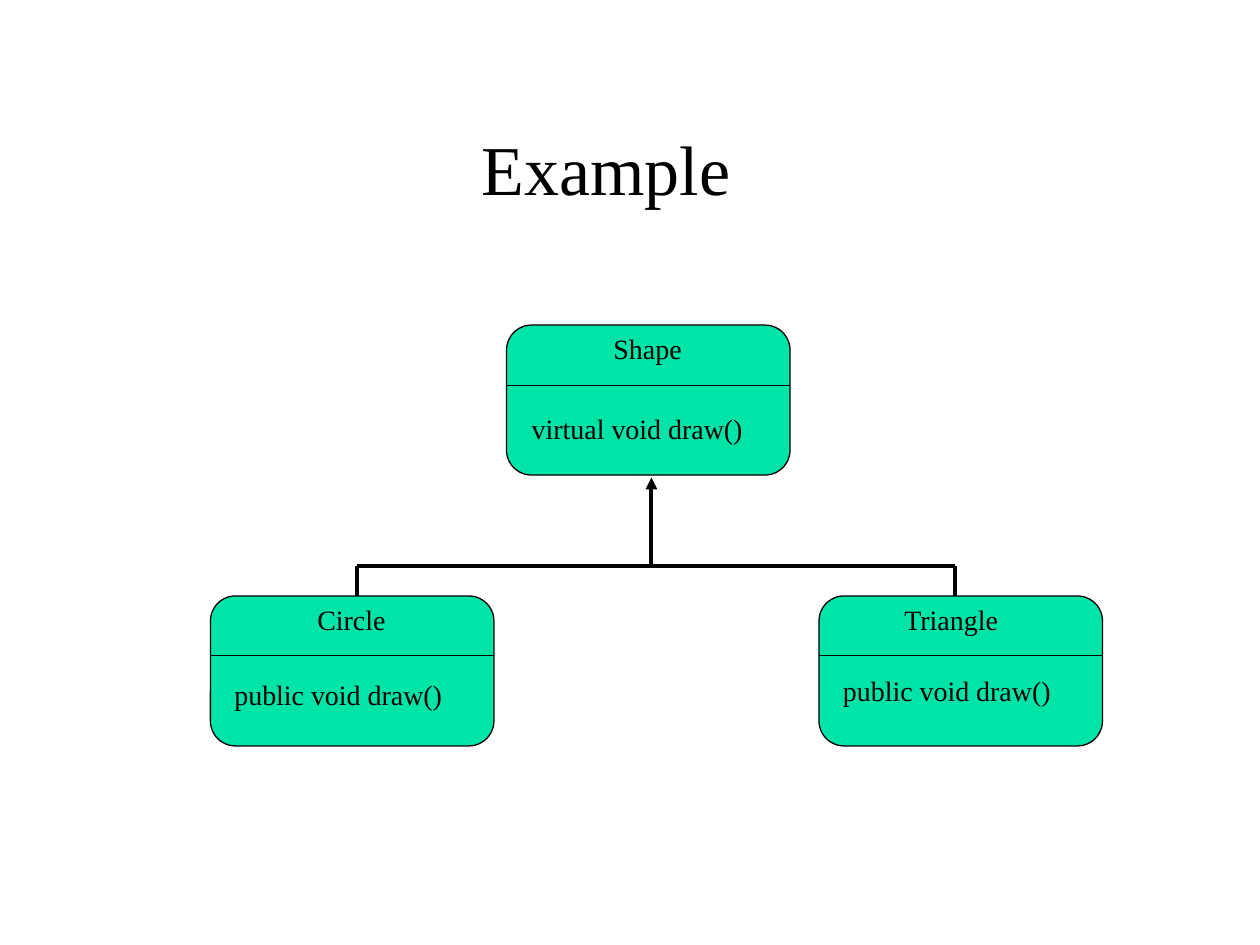
from dataclasses import dataclass

from lxml import etree
from pptx import Presentation
from pptx.dml.color import RGBColor
from pptx.enum.shapes import MSO_CONNECTOR, MSO_SHAPE
from pptx.enum.text import MSO_ANCHOR, MSO_AUTO_SIZE, PP_ALIGN
from pptx.oxml.ns import qn
from pptx.util import Inches, Pt

STRAIGHT = MSO_CONNECTOR.STRAIGHT
CLASS_BOX = MSO_SHAPE.FLOWCHART_ALTERNATE_PROCESS
MIDDLE = MSO_ANCHOR.MIDDLE
CENTER, LEFT = PP_ALIGN.CENTER, PP_ALIGN.LEFT
GROW = MSO_AUTO_SIZE.SHAPE_TO_FIT_TEXT


@dataclass(frozen=True)
class Theme:
    font: str = "Times New Roman"
    ink: RGBColor = RGBColor(0x00, 0x00, 0x00)
    fill: RGBColor = RGBColor(0x00, 0xE4, 0xA8)
    title_size: Pt = Pt(40)
    label_size: Pt = Pt(16)
    thin: Pt = Pt(0.75)
    thick: Pt = Pt(2.25)


theme = Theme()
deck = Presentation()
deck.slide_width, deck.slide_height = Inches(10), Inches(7.5)
page = deck.slides.add_slide(deck.slide_layouts[5])


def write(frame, text, size, align):
    """Put one formatted line of text in a frame."""
    frame.word_wrap = True
    frame.text = text
    para = frame.paragraphs[0]
    para.alignment = align
    font = para.runs[0].font
    font.name, font.size, font.color.rgb = theme.font, size, theme.ink
    return para


def add_line(x1, y1, x2, y2, width):
    """Draw a straight line without a shadow."""
    line = page.shapes.add_connector(
        STRAIGHT, Inches(x1), Inches(y1), Inches(x2), Inches(y2))
    line.line.color.rgb = theme.ink
    line.line.width = width
    etree.SubElement(line._element.spPr, qn("a:effectLst"))
    return line


# Title
title = page.shapes.title
title.left, title.top = Inches(0.31), Inches(0.94)
title.width, title.height = Inches(9), Inches(0.83)
title.text_frame.vertical_anchor = MIDDLE
title.text_frame.auto_size = MSO_AUTO_SIZE.NONE
write(title.text_frame, "Example", theme.title_size, CENTER).line_spacing = 0.97

# Classes: left, top, divider y, (name, left, width), (method, left, top)
box_width, box_height, label_height = 2.25, 1.19, 0.37
classes = [
    (4.02, 2.58, 3.06, ("Shape", 4.77, 0.98), ("virtual void draw()", 4.22, 3.22)),
    (1.67, 4.73, 5.2, ("Circle", 2.42, 0.98), ("public void draw()", 1.86, 5.33)),
    (6.5, 4.73, 5.2, ("Triangle", 7.08, 1.33), ("public void draw()", 6.69, 5.3)),
]
for left, top, divider, (name, name_left, name_width), (method, method_left, method_top) in classes:
    box = page.shapes.add_shape(
        CLASS_BOX, Inches(left), Inches(top), Inches(box_width), Inches(box_height))
    box.shadow.inherit = False
    box.fill.solid()
    box.fill.fore_color.rgb = theme.fill
    box.line.color.rgb = theme.ink
    box.line.width = theme.thin
    add_line(left, divider, left + box_width, divider, theme.thin)

    labels = [
        (name, name_left, top, name_width, 0.1),
        (method, method_left, method_top, 1.98, 0),
    ]
    for text, label_left, label_top, width, inset in labels:
        label = page.shapes.add_textbox(
            Inches(label_left), Inches(label_top), Inches(width), Inches(label_height))
        frame = label.text_frame
        frame.margin_left = frame.margin_right = Inches(inset)
        frame.auto_size = GROW
        write(frame, text, theme.label_size, LEFT).space_before = Pt(10)

# Inheritance tree: bar, one branch per subclass, arrow to the base class
bar_y, branches, trunk_x = 4.49, (2.83, 7.58), 5.17
add_line(branches[0], bar_y, branches[1], bar_y, theme.thick)
for x in branches:
    add_line(x, bar_y, x, 4.73, theme.thick)
arrow = add_line(trunk_x, bar_y, trunk_x, 3.79, theme.thick)
etree.SubElement(arrow.line._get_or_add_ln(), qn("a:tailEnd"), type="triangle")

deck.save("out.pptx")
